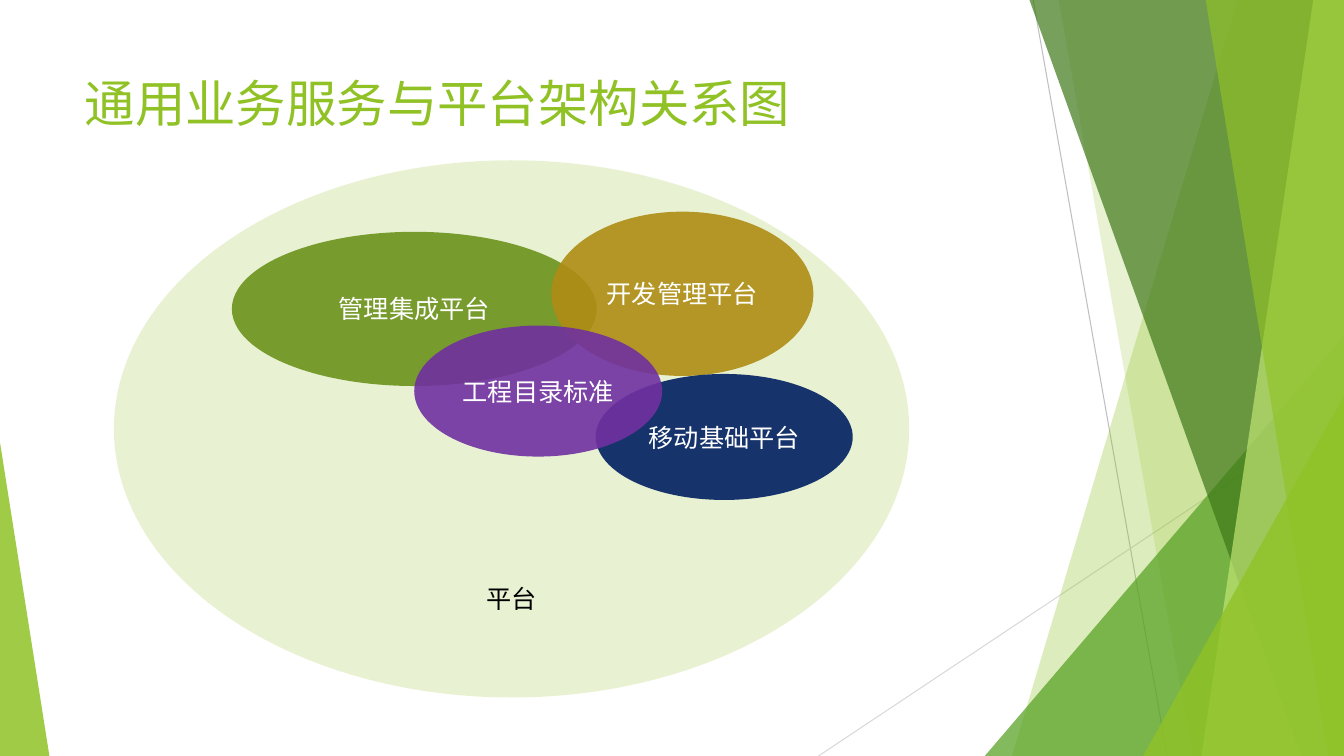
from pptx import Presentation
from pptx.dml.color import RGBColor
from pptx.enum.shapes import MSO_CONNECTOR, MSO_SHAPE
from pptx.enum.text import MSO_ANCHOR, MSO_AUTO_SIZE, PP_ALIGN
from pptx.oxml.ns import qn
from pptx.util import Pt
from lxml.etree import SubElement

THEME = {
    "font": "Karla",
    "title_size": 36,
    "label_size": 18,
    "lime": "90C226",
    "green": "54A021",
    "forest": "3F7819",
    "pale": "C0E474",
    "olive": "6C921D",
    "gold": "AF8C14",
    "navy": "002060",
    "purple": "7030A0",
    "white": "FFFFFF",
    "black": "000000",
    "line_dark": "BFBFBF",
    "line_light": "D9D9D9",
}
WIDTH, HEIGHT = 960, 540
BAND_TOP = -0.72


def paint(shape, color, opacity):
    shape.shadow.inherit = False
    shape.line.fill.background()
    shape.fill.solid()
    shape.fill.fore_color.rgb = RGBColor.from_string(THEME[color])
    color_node = shape.fill._xPr.find(qn("a:solidFill"))[0]
    SubElement(color_node, qn("a:alpha")).set("val", str(opacity * 1000))


def write(shape, text, size, color, align, anchor):
    frame = shape.text_frame
    frame_format = {
        "word_wrap": True,
        "auto_size": MSO_AUTO_SIZE.NONE,
        "vertical_anchor": anchor,
    }
    for name, value in frame_format.items():
        setattr(frame, name, value)
    para = frame.paragraphs[0]
    para.alignment = align
    span = para.add_run()
    span.text = text
    span_format = {"name": THEME["font"], "size": Pt(THEME[size])}
    for name, value in span_format.items():
        setattr(span.font, name, value)
    span.font.color.rgb = RGBColor.from_string(THEME[color])


deck = Presentation()
deck.slide_width, deck.slide_height = Pt(WIDTH), Pt(HEIGHT)
page = deck.slides.add_slide(deck.slide_layouts[5])

title = page.shapes.title
title_place = {"left": 53.28, "top": 48.24, "width": 676.8, "height": 103.68}
for name, value in title_place.items():
    setattr(title, name, Pt(value))
write(title, "通用业务服务与平台架构关系图", "title_size", "lime",
      PP_ALIGN.LEFT, MSO_ANCHOR.TOP)

thin_lines = [
    (738, 0, 833.76, HEIGHT, "line_dark"),
    (WIDTH, 290.16, 584.64, HEIGHT, "line_light"),
]
for *ends, color in thin_lines:
    line = page.shapes.add_connector(
        MSO_CONNECTOR.STRAIGHT, *[Pt(value) for value in ends])
    line.line.width = Pt(0.75)
    line.line.color.rgb = RGBColor.from_string(THEME[color])
    SubElement(line._element.spPr, qn("a:effectLst"))

decorations = [
    ("band", (884.16, 722.88), "lime", 30),
    ("band", (756, 851.76), "lime", 20),
    ("triangle", (703.44, 239.76, 256.56, 1), "green", 72),
    ("band", (735.12, 929.52), "forest", 70),
    ("band", (938.16, 858.24), "pale", 70),
    ("band", (861.12, 948.96), "lime", 65),
    ("triangle", (816.48, 282.96, 143.52, 1), "lime", 80),
    ("triangle", (0, 316.08, 35.28, 0), "lime", 85),
]
for kind, place, color, opacity in decorations:
    if kind == "band":
        top_left, bottom_left = place
        corners = [(WIDTH, BAND_TOP), (WIDTH, HEIGHT), (bottom_left, HEIGHT)]
        outline = page.shapes.build_freeform(Pt(top_left), Pt(BAND_TOP))
        outline.add_line_segments([(Pt(x), Pt(y)) for x, y in corners])
        decoration = outline.convert_to_shape()
    else:
        left, top, width, apex = place
        decoration = page.shapes.add_shape(
            MSO_SHAPE.ISOSCELES_TRIANGLE,
            Pt(left), Pt(top), Pt(width), Pt(HEIGHT - top))
        decoration.adjustments[0] = apex
    paint(decoration, color, opacity)

platforms = [
    ("平台", (81.36, 114.48, 568.08, 383.76), "lime", 20, "black", MSO_ANCHOR.BOTTOM),
    ("管理集成平台", (165.6, 165.6, 260.64, 110.16), "olive", 90, "white", MSO_ANCHOR.MIDDLE),
    ("开发管理平台", (393.84, 151.2, 187.2, 117.36), "gold", 90, "white", MSO_ANCHOR.MIDDLE),
    ("移动基础平台", (425.52, 267.12, 183.6, 90), "navy", 90, "white", MSO_ANCHOR.MIDDLE),
    ("工程目录标准", (295.92, 232.56, 177.12, 93.6), "purple", 90, "white", MSO_ANCHOR.MIDDLE),
]
for label, place, color, opacity, text_color, anchor in platforms:
    ellipse = page.shapes.add_shape(
        MSO_SHAPE.OVAL, *[Pt(value) for value in place])
    paint(ellipse, color, opacity)
    write(ellipse, label, "label_size", text_color, PP_ALIGN.CENTER, anchor)

deck.save("out.pptx")
